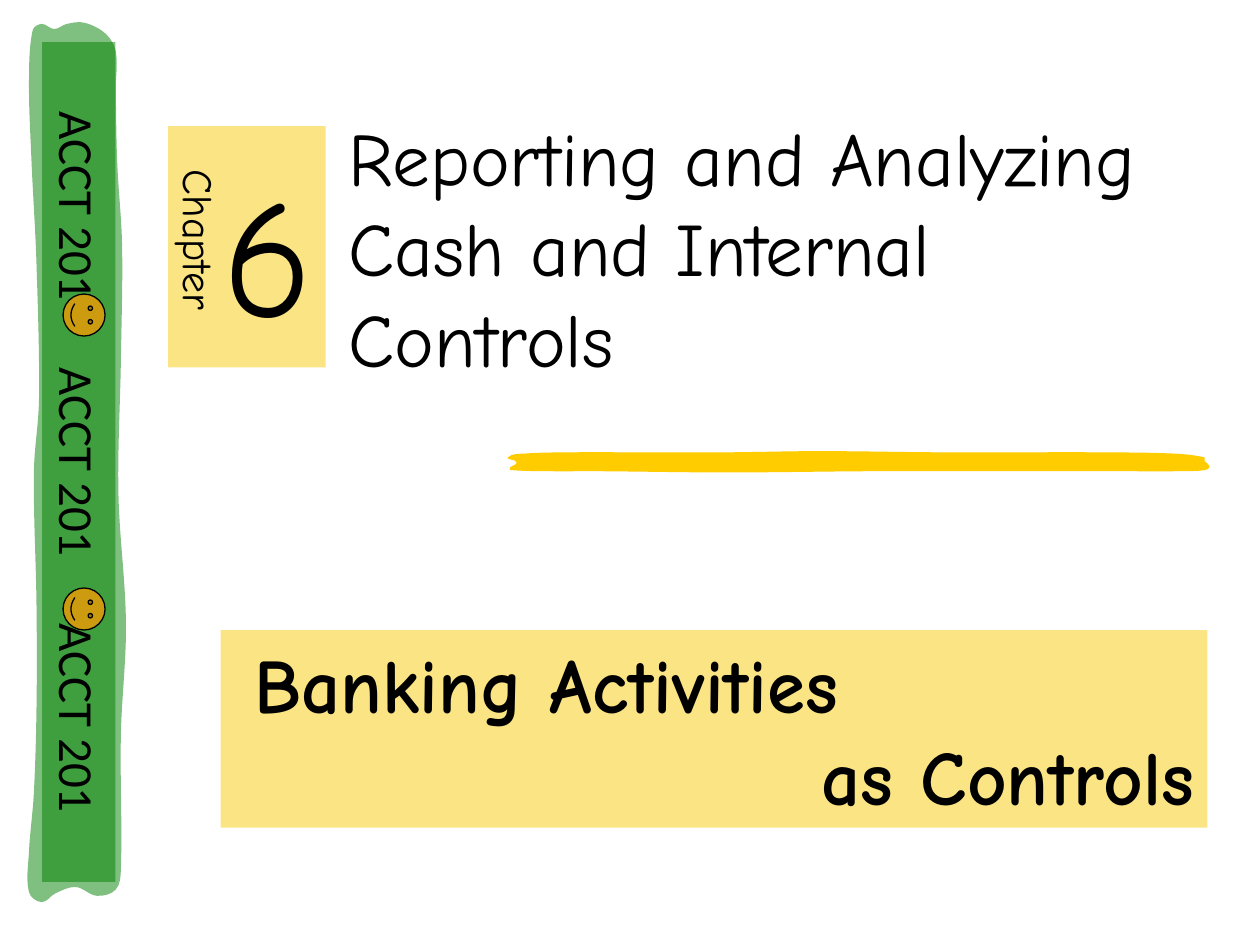
import math

from pptx import Presentation
from pptx.dml.color import RGBColor
from pptx.enum import shapes, text
from pptx.oxml import ns, xmlchemy
from pptx.util import Pt

COLORS = {"band": "008000", "stroke": "FFCC00", "panel": "F8CB0A",
          "smiley": "CC9B10", "ink": "000000"}
FONT = "Comic Neue"
PLAIN_TABLE = "{2D5ABB26-0587-4C30-8999-92F81FD0307C}"
UNITS = 100  # outline units per point

# Outline points in points, joined by smooth curves
STROKE = [(627, 258.5), (670.3, 259.2), (688.3, 261.4), (688.3, 263.5),
          (691.2, 266.4), (689, 268.6), (672.5, 269.3), (642.2, 269.3),
          (601.2, 269.3), (546.5, 269.3), (496.8, 269.3), (415.4, 270),
          (342, 269.3), (313.9, 269.3), (291.6, 268.6), (291.6, 267.1),
          (295.2, 264.2), (290.2, 261.4), (300.2, 259.2), (326.9, 258.5),
          (363.6, 258.5), (415.4, 258.5), (468, 257.8), (536.4, 258.5),
          (578.9, 258.5)]
BRUSH = [(20.9, 403.9), (20.9, 346.3), (19.4, 270), (22.3, 228.2),
         (20.9, 151.2), (18, 91.4), (16.6, 46.8), (18.7, 17.3),
         (23.8, 13.7), (31, 16.6), (38.2, 13.7), (48.2, 13),
         (60.5, 19.4), (66.2, 29.5), (66.2, 51.1), (67, 92.9),
         (69.8, 140.4), (69.1, 205.9), (67.7, 281.5), (72, 356.4),
         (69.1, 419.8), (69.1, 496.8), (66.2, 508.3), (55.4, 511.9),
         (43.2, 506.9), (31.7, 510.5), (23.8, 515.5), (16.6, 509.8),
         (16.6, 486.7), (19.4, 452.9)]


def rgb(name):
    return RGBColor.from_string(COLORS[name])


def paint(fill, color, element=None):
    """Fill with a colour; half transparent if the owning element is given."""
    fill.solid()
    fill.fore_color.rgb = rgb(color)
    if element is not None:
        solid = next(element.iter(ns.qn("a:solidFill")))
        alpha = xmlchemy.OxmlElement("a:alpha")
        alpha.set("val", "50000")
        solid[0].append(alpha)


def place(shape, left, top, width, height):
    shape.left, shape.top = Pt(left), Pt(top)
    shape.width, shape.height = Pt(width), Pt(height)


def curve_points(points):
    """Two handles and an end for each segment of a smooth closed curve."""
    def tangent(i):
        (x0, y0), (x1, y1) = points[i - 1], points[(i + 1) % len(points)]
        length = math.hypot(x1 - x0, y1 - y0)
        return (x1 - x0) / length, (y1 - y0) / length

    curve = []
    for i, (x0, y0) in enumerate(points):
        j = (i + 1) % len(points)
        x1, y1 = points[j]
        reach = math.hypot(x1 - x0, y1 - y0) / 3
        (dx0, dy0), (dx1, dy1) = tangent(i), tangent(j)
        curve += [(x0 + reach * dx0, y0 + reach * dy0),
                  (x1 - reach * dx1, y1 - reach * dy1), (x1, y1)]
    return [(x * UNITS, y * UNITS) for x, y in curve]


def add_outline(slide, points, color, translucent=False):
    curve = curve_points(points)
    builder = slide.shapes.build_freeform(*curve[-1], scale=Pt(1) / UNITS)
    builder.add_line_segments(curve, close=True)
    outline = builder.convert_to_shape()
    # Turn each three line segments into one cubic curve
    lines = list(outline._element.iter(ns.qn("a:lnTo")))
    for n in range(0, len(lines), 3):
        cubic = xmlchemy.OxmlElement("a:cubicBezTo")
        lines[n].addprevious(cubic)
        for line in lines[n:n + 3]:
            cubic.append(line[0])
            line.getparent().remove(line)
    outline.shadow.inherit = False
    outline.line.fill.background()
    paint(outline.fill, color, outline._element if translucent else None)


def write(shape, lines, size, font=FONT, bold=False,
          anchor=text.MSO_ANCHOR.TOP):
    frame = shape.text_frame
    frame.text = "\n".join(lines)
    frame.word_wrap = True
    frame.auto_size = text.MSO_AUTO_SIZE.NONE
    frame.vertical_anchor = anchor
    for paragraph in frame.paragraphs:
        paragraph.alignment = text.PP_ALIGN.LEFT
        paragraph.space_before = Pt(0)
        for run in paragraph.runs:
            run.font.name, run.font.size, run.font.bold = font, Pt(size), bold
            run.font.color.rgb = rgb("ink")
    return frame


def add_label(slide, label, box, size, rotation=0):
    label_box = slide.shapes.add_textbox(*map(Pt, box))
    label_box.rotation = rotation
    write(label_box, [label], size)


def add_course_band(slide):
    add_outline(slide, BRUSH, "band", translucent=True)
    band = slide.shapes.add_shape(shapes.MSO_SHAPE.RECTANGLE,
                                  Pt(-195), Pt(243), Pt(480), Pt(42))
    band.rotation = 90
    band.shadow.inherit = False
    band.line.fill.background()
    paint(band.fill, "band", band._element)
    frame = write(band, ["\t".join(["ACCT 201"] * 3)], 28, font="Calibri",
                  anchor=text.MSO_ANCHOR.MIDDLE)
    frame.margin_left = Pt(39.5)
    # Tab stops space the course codes evenly
    tabs = xmlchemy.OxmlElement("a:tabLst")
    for n in (1, 2):
        tab = xmlchemy.OxmlElement("a:tab")
        tab.set("pos", str(Pt(146.3 * n)))
        tab.set("algn", "l")
        tabs.append(tab)
    frame.paragraphs[0]._p.get_or_add_pPr().append(tabs)


def add_smiley(slide, top):
    smiley = slide.shapes.add_shape(shapes.MSO_SHAPE.SMILEY_FACE,
                                    Pt(36), Pt(top), Pt(24), Pt(24))
    smiley.rotation = 90
    smiley.shadow.inherit = False
    paint(smiley.fill, "smiley")
    smiley.line.color.rgb = rgb("ink")
    smiley.line.width = Pt(0.75)


def add_chapter_panel(slide):
    table = slide.shapes.add_table(1, 1, Pt(96), Pt(72), Pt(90), Pt(138)).table
    table.first_row = table.horz_banding = False
    next(table._tbl.iter(ns.qn("a:tableStyleId"))).text = PLAIN_TABLE
    cell = table.cell(0, 0)
    paint(cell.fill, "panel", cell._tc)
    add_label(slide, "Chapter", (57, 129, 114, 36), 24, rotation=90)
    add_label(slide, "6", (120, 82, 66, 122), 96)


def fill_placeholders(slide):
    title, topic = slide.placeholders
    place(title, 192, 60, 510, 162)
    write(title, ["Reporting and Analyzing Cash and Internal Controls"], 43,
          anchor=text.MSO_ANCHOR.BOTTOM)

    place(topic, 126, 360, 564, 113)
    paint(topic.fill, "panel", topic._element)
    frame = write(topic, ["Banking Activities", "as Controls"], 44, bold=True)
    first, last = frame.paragraphs
    first._p.get_or_add_pPr().set("marL", str(Pt(12)))
    last.alignment = text.PP_ALIGN.RIGHT


def main():
    deck = Presentation()
    deck.slide_width, deck.slide_height = Pt(720), Pt(540)
    slide = deck.slides.add_slide(deck.slide_layouts[0])

    # Decoration
    add_outline(slide, STROKE, "stroke")
    add_course_band(slide)
    for top in (168, 336):
        add_smiley(slide, top)

    # Content
    fill_placeholders(slide)
    add_chapter_panel(slide)
    deck.save("out.pptx")


if __name__ == "__main__":
    main()
